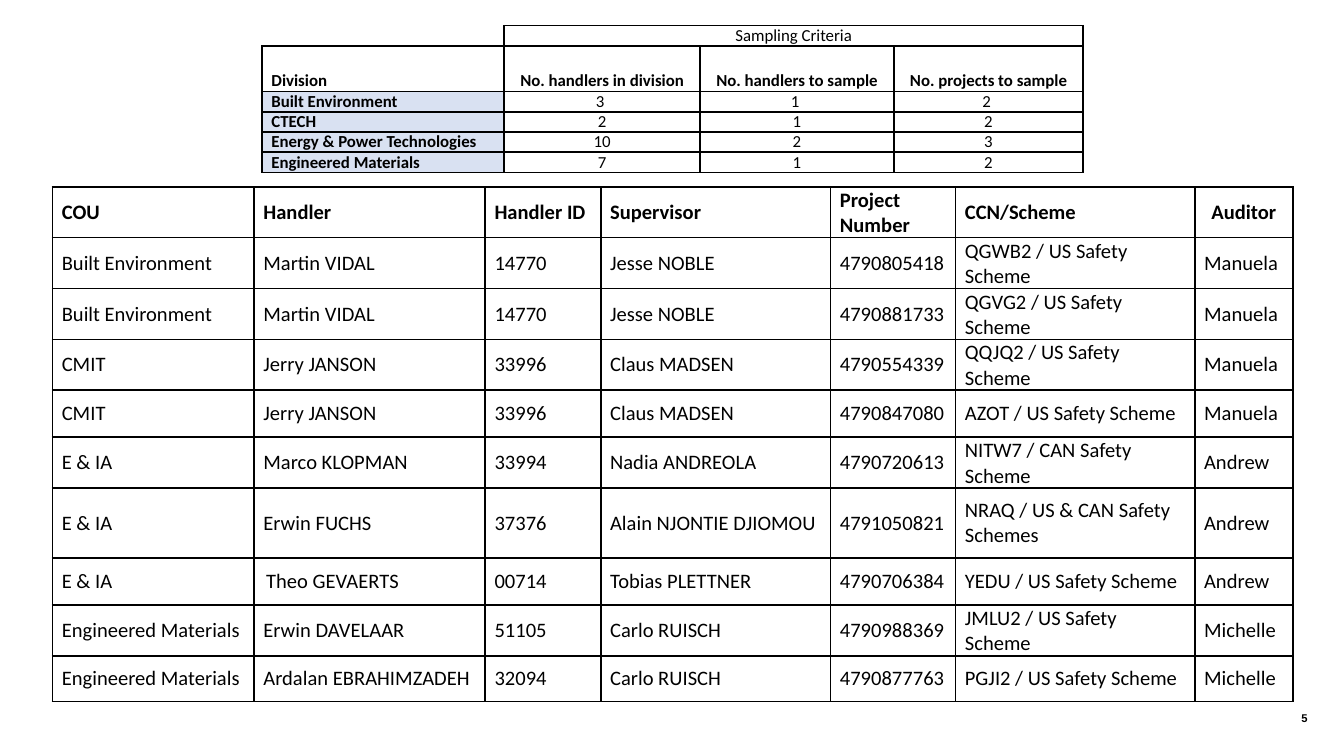
from lxml.etree import SubElement
from pptx import Presentation
from pptx.dml.color import RGBColor
from pptx.enum.text import MSO_ANCHOR as Anchor, PP_ALIGN as Align
from pptx.oxml import parse_xml
from pptx.oxml.ns import nsdecls, qn
from pptx.util import Inches, Pt

COLORS = {"ink": "000000", "division": "D9E1F2"}

SAMPLING = [
    ["", "Sampling Criteria", "", ""],
    ["Division", "No. handlers in division", "No. handlers to sample", "No. projects to sample"],
    ["Built Environment", "3 ", "1 ", "2 "],
    ["CTECH", "2", "1", "2"],
    ["Energy & Power Technologies", "10", "2", "3"],
    ["Engineered Materials", "7", "1", "2"],
]

AUDITS = [
    ["COU", "Handler", "Handler ID", "Supervisor", "Project Number", "CCN/Scheme", "Auditor"],
    ["Built Environment", "Martin VIDAL", "14770", "Jesse NOBLE", "4790805418",
     "QGWB2 / US Safety Scheme", "Manuela"],
    ["Built Environment", "Martin VIDAL", "14770", "Jesse NOBLE", "4790881733",
     "QGVG2 / US Safety Scheme", "Manuela"],
    ["CMIT", "Jerry JANSON", "33996", "Claus MADSEN", "4790554339",
     "QQJQ2 / US Safety Scheme", "Manuela"],
    ["CMIT", "Jerry JANSON", "33996", "Claus MADSEN", "4790847080",
     "AZOT / US Safety Scheme", "Manuela"],
    ["E & IA", "Marco KLOPMAN", "33994", "Nadia ANDREOLA", "4790720613",
     "NITW7 / CAN Safety Scheme", "Andrew"],
    ["E & IA", "Erwin FUCHS", "37376", "Alain NJONTIE DJIOMOU", "4791050821",
     "NRAQ / US & CAN Safety Schemes", "Andrew"],
    ["E & IA", "Theo GEVAERTS", "00714", "Tobias PLETTNER", "4790706384",
     "YEDU / US Safety Scheme", "Andrew"],
    ["Engineered Materials", "Erwin DAVELAAR", "51105", "Carlo RUISCH", "4790988369",
     "JMLU2 / US Safety Scheme", "Michelle"],
    ["Engineered Materials", "Ardalan EBRAHIMZADEH", "32094", "Carlo RUISCH", "4790877763",
     "PGJI2 / US Safety Scheme", "Michelle"],
]


def add_text(paragraph, text, size, font, bold):
    """Add one run in the slide's ink colour."""
    run = paragraph.add_run()
    run.text = text
    run.font.size = Pt(size)
    run.font.name = font
    run.font.bold = bold
    run.font.color.rgb = RGBColor.from_string(COLORS["ink"])


def set_borders(cell, sides):
    """Rule the named sides of a cell and clear the others."""
    properties = cell._tc.get_or_add_tcPr()
    for side in "LRTB":
        paint = "<a:noFill/>"
        if side in sides:
            paint = f'<a:solidFill><a:srgbClr val="{COLORS["ink"]}"/></a:solidFill>'
        properties.append(parse_xml(
            f'<a:ln{side} {nsdecls("a")} w="{Pt(1)}">{paint}</a:ln{side}>'))


def fill_cell(cell, text, size, anchor, align, bold, sides="LRTB", fill=None, padding=0):
    """Format a table cell and write its text."""
    cell.margin_left = cell.margin_right = Inches(0.07)
    cell.margin_top = cell.margin_bottom = Pt(padding)
    cell.vertical_anchor = anchor
    set_borders(cell, sides)
    if fill:
        cell.fill.solid()
        cell.fill.fore_color.rgb = RGBColor.from_string(fill)
    else:
        cell.fill.background()
    paragraph = cell.text_frame.paragraphs[0]
    paragraph.alignment = align
    if text:
        add_text(paragraph, text, size, "Calibri", bold)
    else:
        SubElement(paragraph._p, qn("a:endParaRPr"), sz=str(size * 100))


def add_grid(slide, box, widths, heights):
    """Add an unbanded table with the given column widths and row heights."""
    frame = slide.shapes.add_table(len(heights), len(widths), *map(Inches, box))
    table = frame.table
    table.first_row = table.horz_banding = False
    for column, width in zip(table.columns, widths):
        column.width = Inches(width)
    for row, height in zip(table.rows, heights):
        row.height = Inches(height)
    return table


def add_sampling_table(slide, box):
    """Add the sampling criteria for each division."""
    heights = [0.13, 0.34] + [0.13] * 4
    table = add_grid(slide, box, [1.8, 1.46, 1.44, 1.41], heights)
    table.cell(0, 1).merge(table.cell(0, 3))
    for r, values in enumerate(SAMPLING):
        for c, text in enumerate(values):
            fill_cell(
                table.cell(r, c), text, 9, Anchor.BOTTOM,
                align=Align.CENTER if c else Align.LEFT,
                bold=r == 1 or (r > 1 and c == 0),
                sides="RB" if r == c == 0 else "LRTB",
                fill=COLORS["division"] if r > 1 and c == 0 else None)


def add_audit_table(slide, box):
    """Add the handlers and projects assigned to each auditor."""
    widths = [1.5, 1.72, 0.86, 1.71, 0.93, 1.78, 0.73]
    heights = [0.35] * 6 + [0.52, 0.35, 0.35, 0.34]
    table = add_grid(slide, box, widths, heights)
    for r, values in enumerate(AUDITS):
        for c, text in enumerate(values):
            cell = table.cell(r, c)
            align = Align.CENTER if text == "Auditor" else Align.LEFT
            fill_cell(cell, text, 11, Anchor.MIDDLE, align, bold=r == 0, padding=0.4)
            if text == "Theo GEVAERTS":
                properties = cell.text_frame.paragraphs[0]._p.get_or_add_pPr()
                properties.set("indent", str(Inches(0.02)))


def add_page_number(slide, box):
    """Add the page number in the bottom right corner."""
    frame = slide.shapes.add_textbox(*map(Inches, box)).text_frame
    frame.margin_left = frame.margin_right = frame.margin_top = frame.margin_bottom = 0
    frame.vertical_anchor = Anchor.BOTTOM
    frame.word_wrap = False
    frame.paragraphs[0].alignment = Align.RIGHT
    add_text(frame.paragraphs[0], "5", 6, "Arial", True)


def main():
    """Build the 16:9 slide and save it."""
    deck = Presentation()
    deck.slide_width = Inches(10)
    deck.slide_height = deck.slide_width * 9 // 16
    slide = deck.slides.add_slide(deck.slide_layouts[6])
    add_page_number(slide, (9.4, 5.24, 0.33, 0.15))
    add_sampling_table(slide, (1.95, 0.19, 6.11, 1.09))
    add_audit_table(slide, (0.39, 1.39, 9.22, 3.75))
    deck.save("out.pptx")


if __name__ == "__main__":
    main()
